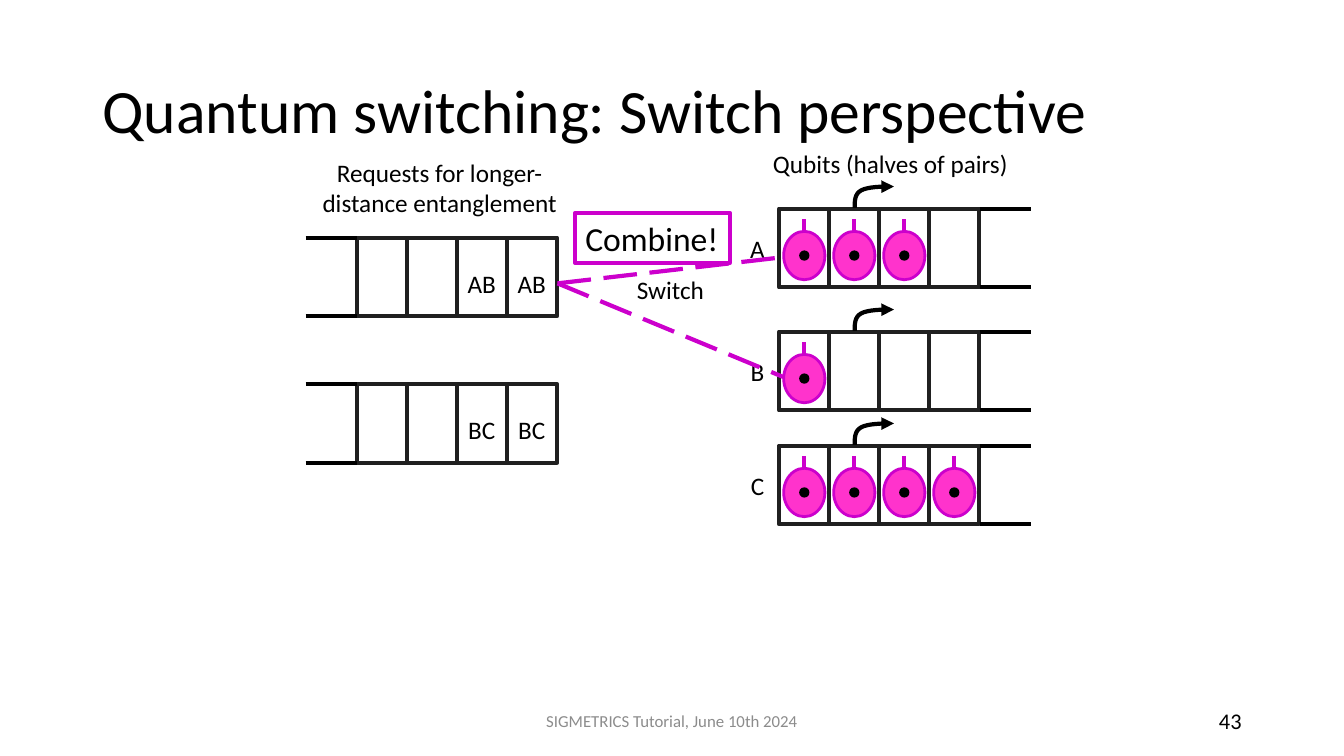
from lxml import etree
from pptx import Presentation
from pptx.dml.color import RGBColor
from pptx.enum.dml import MSO_LINE
from pptx.enum.shapes import MSO_CONNECTOR, MSO_SHAPE
from pptx.enum.text import MSO_ANCHOR, PP_ALIGN
from pptx.oxml.ns import qn
from pptx.util import Cm, Pt

RECT, OVAL = MSO_SHAPE.RECTANGLE, MSO_SHAPE.OVAL
STRAIGHT = MSO_CONNECTOR.STRAIGHT
LONG_DASH = MSO_LINE.LONG_DASH
LEFT, CENTER, RIGHT = PP_ALIGN.LEFT, PP_ALIGN.CENTER, PP_ALIGN.RIGHT
TOP, MIDDLE = MSO_ANCHOR.TOP, MSO_ANCHOR.MIDDLE

FONT = "Calibri"
BLACK, WHITE, GRAY, CELL_EDGE = "000000", "FFFFFF", "8C8C8C", "202020"
PINK, PURPLE = "FF33CC", "CC00CC"

# Queue geometry in cm
CELLS, PITCH, CELL_W, CELL_H, OPEN_W = 4, 1.26, 1.27, 1.98, 1.29


def rgb(color):
    return RGBColor.from_string(color)


def write(sp, text, size, color=BLACK, align=LEFT, anchor=TOP, spacing=None):
    tf = sp.text_frame
    tf.word_wrap = True
    tf.vertical_anchor = anchor
    p = tf.paragraphs[0]
    p.alignment = align
    if spacing:
        p.line_spacing = spacing
    r = p.add_run()
    r.text = text
    r.font.name = FONT
    r.font.size = Pt(size)
    r.font.color.rgb = rgb(color)


def add_text(s, x, y, w, h, text, size=18, **style):
    sp = s.shapes.add_textbox(Cm(x), Cm(y), Cm(w), Cm(h))
    write(sp, text, size, **style)


def add_shape(s, kind, x, y, w, h, fill=None, line=None, width=3):
    sp = s.shapes.add_shape(kind, Cm(x), Cm(y), Cm(w), Cm(h))
    sp.shadow.inherit = False
    if fill:
        sp.fill.solid()
        sp.fill.fore_color.rgb = rgb(fill)
    else:
        sp.fill.background()
    if line:
        sp.line.color.rgb = rgb(line)
        sp.line.width = Pt(width)
    else:
        sp.line.fill.background()
    return sp


def add_line(s, x1, y1, x2, y2, color=BLACK, dash=None):
    line = s.shapes.add_connector(STRAIGHT, Cm(x1), Cm(y1), Cm(x2), Cm(y2))
    line.line.color.rgb = rgb(color)
    line.line.width = Pt(3)
    if dash:
        line.line.dash_style = dash
    etree.SubElement(line._element.spPr, qn("a:effectLst"))


def bezier(a, b, c, d, steps=8):
    for i in range(1, steps + 1):
        t = i / steps
        u = 1 - t
        yield tuple(u**3 * a[k] + 3 * u * u * t * b[k] + 3 * u * t * t * c[k] + t**3 * d[k]
                    for k in (0, 1))


def add_exit_arrow(s, x, y):
    """Curved arrow leaving a queue; (x, y) is its foot."""
    foot, bend, tip = (0, 0), (0.16, -0.44), (0.99, -0.54)
    points = [*bezier(foot, (0, -0.18), (0, -0.35), bend),
              *bezier(bend, (0.33, -0.53), (0.66, -0.54), tip)]
    outline = s.shapes.build_freeform(Cm(x), Cm(y))
    outline.add_line_segments([(Cm(x + dx), Cm(y + dy)) for dx, dy in points], close=False)
    sp = outline.convert_to_shape()
    sp.shadow.inherit = False
    sp.fill.background()
    sp.line.color.rgb = rgb(BLACK)
    sp.line.width = Pt(3)
    etree.SubElement(sp._element.spPr.find(qn("a:ln")), qn("a:tailEnd"), type="triangle")


def add_cells(s, x, y, open_x):
    """Row of cells from x, with open edges running between open_x and open_x + OPEN_W."""
    for i in range(CELLS):
        add_shape(s, RECT, x + i * PITCH, y, CELL_W, CELL_H, WHITE, CELL_EDGE)
    for edge in (y, y + CELL_H):
        add_line(s, open_x, edge, open_x + OPEN_W, edge)


def add_qubit(s, cx, cy):
    add_shape(s, OVAL, cx - 0.52, cy - 0.61, 1.04, 1.22, PINK, PURPLE, 2)
    add_shape(s, OVAL, cx - 0.13, cy - 0.13, 0.26, 0.26, BLACK)
    add_line(s, cx, cy - 0.91, cx, cy - 0.6, PURPLE)


def request_queue(s, x, y, label):
    cells_x = x + OPEN_W
    add_cells(s, cells_x, y, x)
    for i in (2, 3):
        add_text(s, cells_x + i * PITCH - 0.02, y + 0.64, 1.3, 1.02, label, align=CENTER)


def qubit_queue(s, x, y, label, count):
    add_cells(s, x, y, x + CELLS * PITCH + 0.02)
    add_exit_arrow(s, x + 1.91, y - 0.02)
    for i in range(count):
        add_qubit(s, x + 0.64 + i * PITCH, y + 1.18)
    add_text(s, x - 1.19, y + 0.5, 1.3, 1.02, label, align=CENTER)


def requests_region(s, x, y):
    add_text(s, x, y, 6.76, 1.8, "Requests for longer-distance entanglement", align=CENTER)
    for i, label in enumerate(("AB", "BC")):
        request_queue(s, x, y + 2.15 + i * 3.69, label)


def qubits_region(s, x, y):
    add_text(s, x - 0.4, y, 6.76, 1.02, "Qubits (halves of pairs)")
    for dy, label, count in ((1.65, "A", 3), (4.75, "B", 1), (7.62, "C", 4)):
        qubit_queue(s, x, y + dy, label, count)


def switch_region(s, x, y):
    """Dashed links fan out from (x, y) to the queues being combined."""
    add_text(s, x + 1.75, y - 0.36, 2.29, 1.02, "Switch")
    for dy in (-0.66, 2.36):
        add_line(s, x, y, x + 5.69, y + dy, PURPLE, LONG_DASH)
    box = add_shape(s, RECT, x + 0.45, y - 1.78, 3.89, 1.27, line=PURPLE)
    write(box, "Combine!", 24)


def slide_frame(s):
    add_text(s, 2.33, 1.02, 29.21, 3.68, "Quantum switching: Switch perspective", 44,
             anchor=MIDDLE, spacing=0.9)
    add_text(s, 11.22, 17.65, 11.43, 1.02, "SIGMETRICS Tutorial, June 10th 2024", 12,
             color=GRAY, align=CENTER, anchor=MIDDLE)
    add_text(s, 23.92, 17.65, 7.62, 1.02, "43", 16, align=RIGHT, anchor=MIDDLE)


def main():
    prs = Presentation()
    prs.slide_width, prs.slide_height = Cm(33.87), Cm(19.05)
    s = prs.slides.add_slide(prs.slide_layouts[6])
    slide_frame(s)
    qubits_region(s, 19.63, 3.61)
    requests_region(s, 7.7, 3.84)
    switch_region(s, 14.05, 7.14)
    prs.save("out.pptx")


if __name__ == "__main__":
    main()
